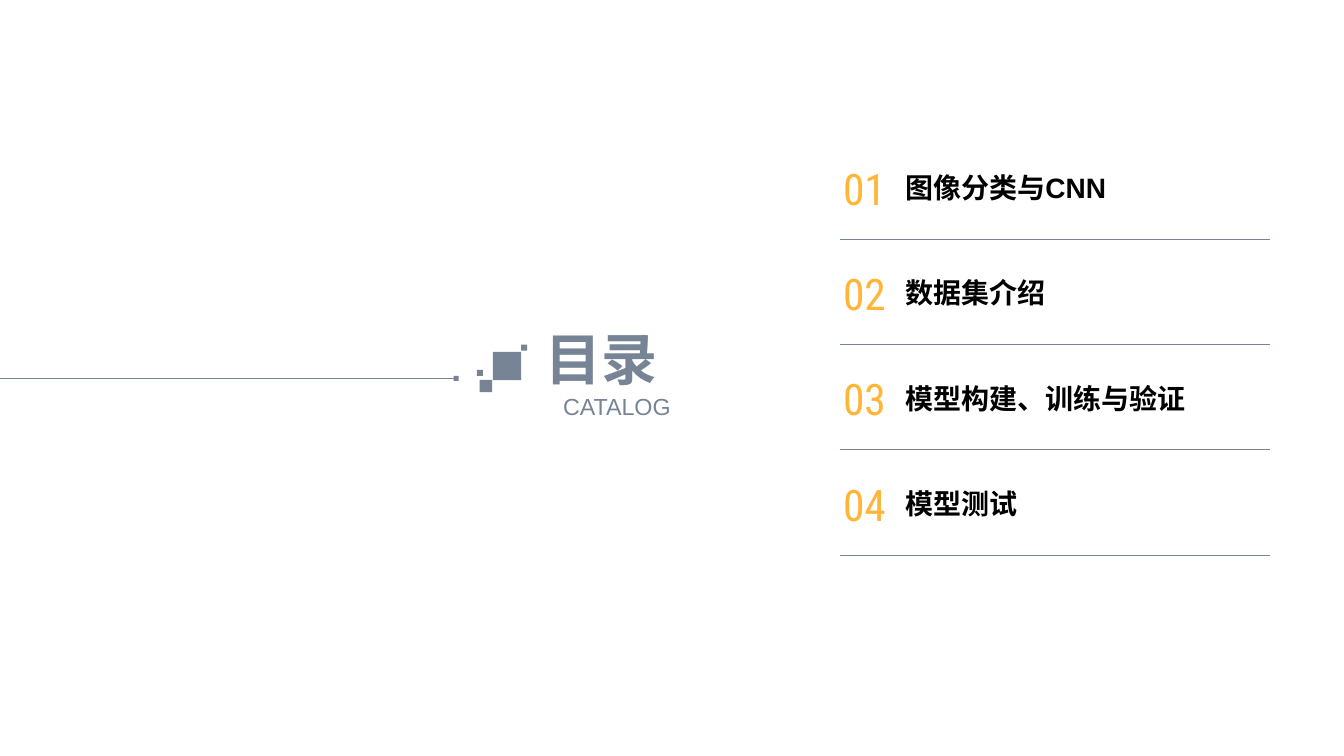
from lxml.etree import SubElement
from pptx import Presentation
from pptx.dml.color import RGBColor
from pptx.enum.shapes import MSO_CONNECTOR as Connector, MSO_SHAPE as Shape
from pptx.enum.text import MSO_ANCHOR as Anchor, PP_ALIGN as Align
from pptx.oxml.ns import qn
from pptx.util import Pt

COLORS = {"slate": "778495", "amber": "FFB535", "black": "000000"}
SQUARES = [
    (352.1, 251.3, 20.2),
    (372.2, 246.2, 4.3),
    (342.7, 271.4, 8.8),
    (340.6, 264.2, 4.3),
    (324, 268.4, 3.6),
]
TOPICS = ["图像分类与CNN", "数据集介绍", "模型构建、训练与验证", "模型测试"]
ROW_PITCH = 75.2
LIST_LEFT, LIST_RIGHT = 599.8, 907.2


def color(name):
    return RGBColor.from_string(COLORS[name])


def add_square(slide, left, top, side):
    square = slide.shapes.add_shape(Shape.RECTANGLE, Pt(left), Pt(top), Pt(side), Pt(side))
    square.shadow.inherit = False
    square.fill.solid()
    square.fill.fore_color.rgb = color("slate")
    square.line.fill.background()


def add_rule(slide, left, right, y):
    rule = slide.shapes.add_connector(Connector.STRAIGHT, Pt(left), Pt(y), Pt(right), Pt(y))
    rule.line.color.rgb = color("slate")
    rule.line.width = Pt(0.5)
    SubElement(rule._element.spPr, qn("a:effectLst"))


def add_text(slide, box, text, size, ink, font="Arial", bold=False,
             align=Align.LEFT, anchor=Anchor.TOP, insets=(0, 0), wrap=True):
    shape = slide.shapes.add_textbox(*map(Pt, box))
    frame = shape.text_frame
    frame.word_wrap = wrap
    frame.vertical_anchor = anchor
    frame.margin_left = frame.margin_right = Pt(insets[0])
    frame.margin_top = frame.margin_bottom = Pt(insets[1])
    paragraph = frame.paragraphs[0]
    paragraph.alignment = align
    run = paragraph.add_run()
    run.text = text
    run.font.name = font
    run.font.size = Pt(size)
    run.font.bold = bold
    run.font.color.rgb = color(ink)


def add_heading(slide):
    for square in SQUARES:
        add_square(slide, *square)
    add_rule(slide, 0, 325.5, 270.2)
    add_text(slide, (389.5, 280.8, 102.2, 18.7), "CATALOG", 16.6, "slate",
             align=Align.CENTER, anchor=Anchor.MIDDLE)
    add_text(slide, (389.5, 231.8, 102.2, 48.2), "目录", 40, "slate",
             bold=True, align=Align.JUSTIFY)


def add_topic(slide, index, topic):
    offset = index * ROW_PITCH
    add_text(slide, (639.4, 118.2 + offset, 267.8, 32.4), topic, 20, "black",
             bold=True, insets=(7.2, 3.6))
    add_text(slide, (LIST_LEFT, 115.2 + offset, 35.3, 38.2), f"{index + 1:02d}", 31, "amber",
             font="Roboto Condensed", align=Align.CENTER, anchor=Anchor.MIDDLE, wrap=False)
    add_rule(slide, LIST_LEFT, LIST_RIGHT, 170.8 + offset)


def main():
    presentation = Presentation()
    presentation.slide_width = Pt(960)
    presentation.slide_height = Pt(540)
    slide = presentation.slides.add_slide(presentation.slide_layouts[6])
    add_heading(slide)
    for index, topic in enumerate(TOPICS):
        add_topic(slide, index, topic)
    presentation.save("out.pptx")


if __name__ == "__main__":
    main()
